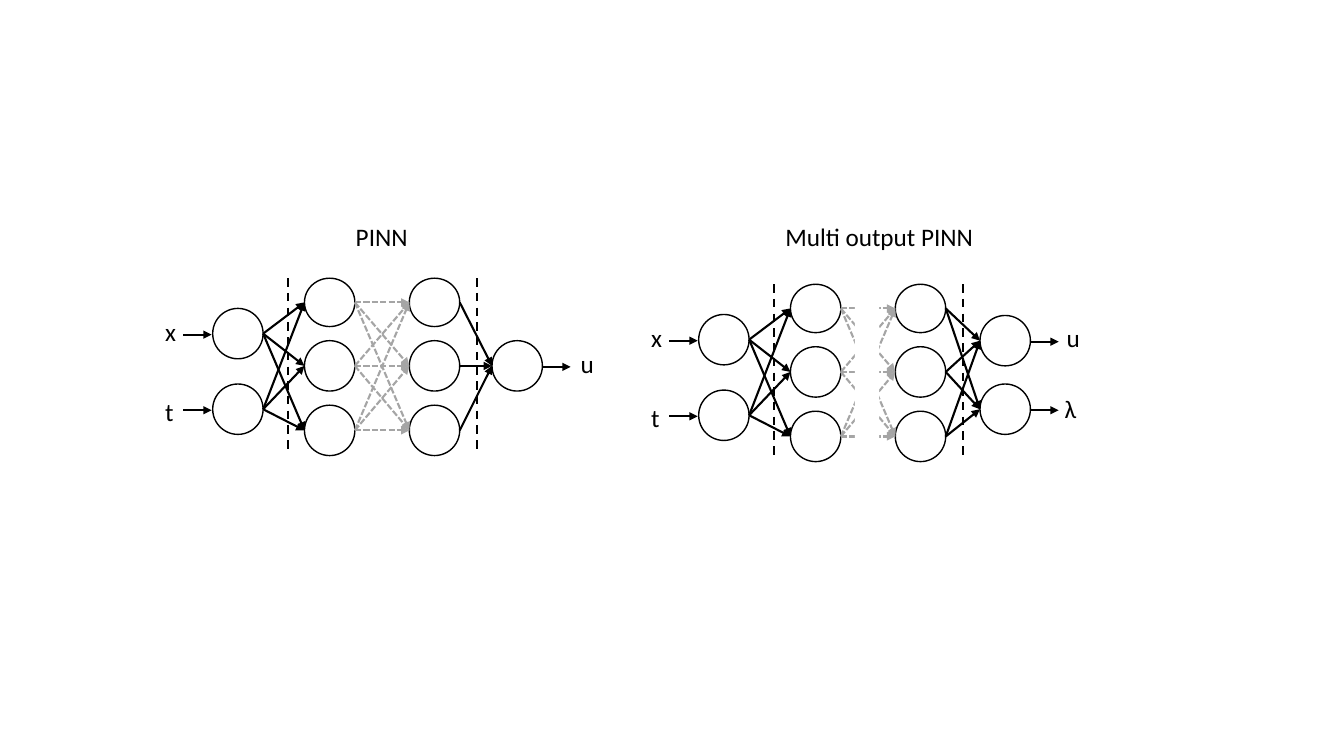
"""Draw a PINN beside a multi output PINN as two layered network diagrams."""
from dataclasses import dataclass
from itertools import product

from lxml import etree
from pptx import Presentation
from pptx.dml.color import RGBColor
from pptx.enum.dml import MSO_LINE
from pptx.enum.shapes import MSO_CONNECTOR, MSO_SHAPE
from pptx.enum.text import MSO_AUTO_SIZE
from pptx.oxml.ns import qn
from pptx.shapes.connector import Connector
from pptx.shapes.group import GroupShape
from pptx.util import Inches, Pt

ELLIPSE, RECTANGLE = MSO_SHAPE.OVAL, MSO_SHAPE.RECTANGLE
STRAIGHT = MSO_CONNECTOR.STRAIGHT
DASH, SHORT_DASH = MSO_LINE.DASH, MSO_LINE.SQUARE_DOT
GROW = MSO_AUTO_SIZE.SHAPE_TO_FIT_TEXT
BLACK, GREY, WHITE = "000000", "A5A5A5", "FFFFFF"
FONT = "Calibri"
NODE = 0.5
TOP_NODE_HEIGHT = 0.48
ARROW = 0.28
LABEL_WIDTH, LABEL_HEIGHT = 0.35, 0.4
TITLE_TOP = 2.15


@dataclass(frozen=True)
class Layer:
    """A column of nodes: left edge, node centres and height of the first node."""
    left: float
    centres: tuple[float, ...]
    first_height: float = NODE


@dataclass(frozen=True)
class Label:
    """A text with its place and width."""
    text: str
    left: float
    top: float
    width: float = LABEL_WIDTH


@dataclass(frozen=True)
class Network:
    """A network whose measures count from its own origin."""
    left: float
    top: float
    title: Label
    output_layer: Layer
    output_labels: tuple[Label, ...]
    hides_middle: bool = False


INPUT_LAYER = Layer(0, (0.55, 1.3))
HIDDEN_CENTRES = (0.24, 0.87, 1.51)
FIRST_HIDDEN = Layer(0.91, HIDDEN_CENTRES, TOP_NODE_HEIGHT)
LAST_HIDDEN = Layer(1.95, HIDDEN_CENTRES, TOP_NODE_HEIGHT)
INPUT_LABELS = (Label("x", -0.57, 0.33), Label("t", -0.57, 1.12, 1.33))
DIVIDERS = ((0.75, 1.71), (2.62, 1.75))

NETWORKS = (
    Network(2.11, 2.76, Label("PINN", 3.43, TITLE_TOP, 1.79),
            Layer(2.77, (0.87,)), (Label("u", 3.55, 0.65),)),
    Network(6.93, 2.82, Label("Multi output PINN", 7.69, TITLE_TOP, 2.55),
            Layer(2.79, (0.56, 1.24)),
            (Label("u", 3.55, 0.33), Label("λ", 3.53, 1.03)), True),
)


def rgb(colour: str) -> RGBColor:
    """Turn a hex string into a colour."""
    return RGBColor.from_string(colour)


def add_line(group: GroupShape, start: tuple[float, float], end: tuple[float, float],
             colour: str = BLACK, dash: MSO_LINE | None = None) -> Connector:
    """Add a straight line without a shadow."""
    line = group.shapes.add_connector(
        STRAIGHT, *(Inches(value) for value in (*start, *end)))
    line.line.color.rgb = rgb(colour)
    line.line.width = Pt(1.5)
    if dash is not None:
        line.line.dash_style = dash
    etree.SubElement(line.element.spPr, qn("a:effectLst"))
    return line


def add_arrow(group: GroupShape, start: tuple[float, float], end: tuple[float, float],
              colour: str = BLACK, dash: MSO_LINE | None = None) -> None:
    """Add a line with a triangle at its end."""
    arrow = add_line(group, start, end, colour, dash)
    outline = arrow.element.spPr.find(qn("a:ln"))
    etree.SubElement(outline, qn("a:tailEnd"), type="triangle")


def add_label(group: GroupShape, label: Label, left: float = 0, top: float = 0) -> None:
    """Add a text counted from the given origin."""
    box = group.shapes.add_textbox(Inches(left + label.left), Inches(top + label.top),
                                   Inches(label.width), Inches(LABEL_HEIGHT))
    frame = box.text_frame
    frame.word_wrap = True
    frame.auto_size = GROW
    frame.text = label.text
    font = frame.paragraphs[0].runs[0].font
    font.name, font.size = FONT, Pt(18)
    font.color.rgb = rgb(BLACK)


def add_layer(group: GroupShape, network: Network, layer: Layer) -> None:
    """Add the nodes of one layer."""
    for index, centre in enumerate(layer.centres):
        height = NODE if index else layer.first_height
        node = group.shapes.add_shape(
            ELLIPSE, Inches(network.left + layer.left),
            Inches(network.top + centre - height / 2), Inches(NODE), Inches(height))
        node.shadow.inherit = False
        node.fill.background()
        node.line.color.rgb = rgb(BLACK)
        node.line.width = Pt(1)


def link_layers(group: GroupShape, network: Network, source: Layer, target: Layer,
                colour: str = BLACK, dash: MSO_LINE | None = None) -> None:
    """Add an arrow from every node of one layer to every node of the next."""
    start_x = network.left + source.left + NODE
    end_x = network.left + target.left
    for start_y, end_y in product(source.centres, target.centres):
        add_arrow(group, (start_x, network.top + start_y),
                  (end_x, network.top + end_y), colour, dash)


def add_ports(group: GroupShape, network: Network, start_x: float,
              layer: Layer, labels: tuple[Label, ...]) -> None:
    """Add the labelled arrows that enter or leave a layer."""
    for centre, label in zip(layer.centres, labels):
        y = network.top + centre + 0.01
        add_arrow(group, (start_x, y), (start_x + ARROW, y))
        add_label(group, label, network.left, network.top)


def add_gap(group: GroupShape, network: Network) -> None:
    """Cover the middle of the links between the hidden layers."""
    gap = group.shapes.add_shape(RECTANGLE, Inches(network.left + 1.55),
                                 Inches(network.top), Inches(0.24), Inches(1.76))
    gap.shadow.inherit = False
    gap.fill.solid()
    gap.fill.fore_color.rgb = rgb(WHITE)
    gap.line.fill.background()


def add_network(group: GroupShape, network: Network) -> None:
    """Add a whole network with its title."""
    output = network.output_layer
    for layer in (INPUT_LAYER, FIRST_HIDDEN, LAST_HIDDEN, output):
        add_layer(group, network, layer)
    link_layers(group, network, FIRST_HIDDEN, LAST_HIDDEN, GREY, SHORT_DASH)
    if network.hides_middle:
        add_gap(group, network)
    link_layers(group, network, INPUT_LAYER, FIRST_HIDDEN)
    link_layers(group, network, LAST_HIDDEN, output)
    for offset, height in DIVIDERS:
        x = network.left + offset
        add_line(group, (x, network.top), (x, network.top + height), dash=DASH)
    add_ports(group, network, network.left - ARROW - 0.01, INPUT_LAYER, INPUT_LABELS)
    add_ports(group, network, network.left + output.left + NODE, output,
              network.output_labels)
    add_label(group, network.title)


def main() -> None:
    """Build and save the slide."""
    presentation = Presentation()
    presentation.slide_width, presentation.slide_height = Inches(13.33), Inches(7.5)
    slide = presentation.slides.add_slide(presentation.slide_layouts[6])
    for network in NETWORKS:
        add_network(slide.shapes.add_group_shape(), network)
    presentation.save("out.pptx")


main()
